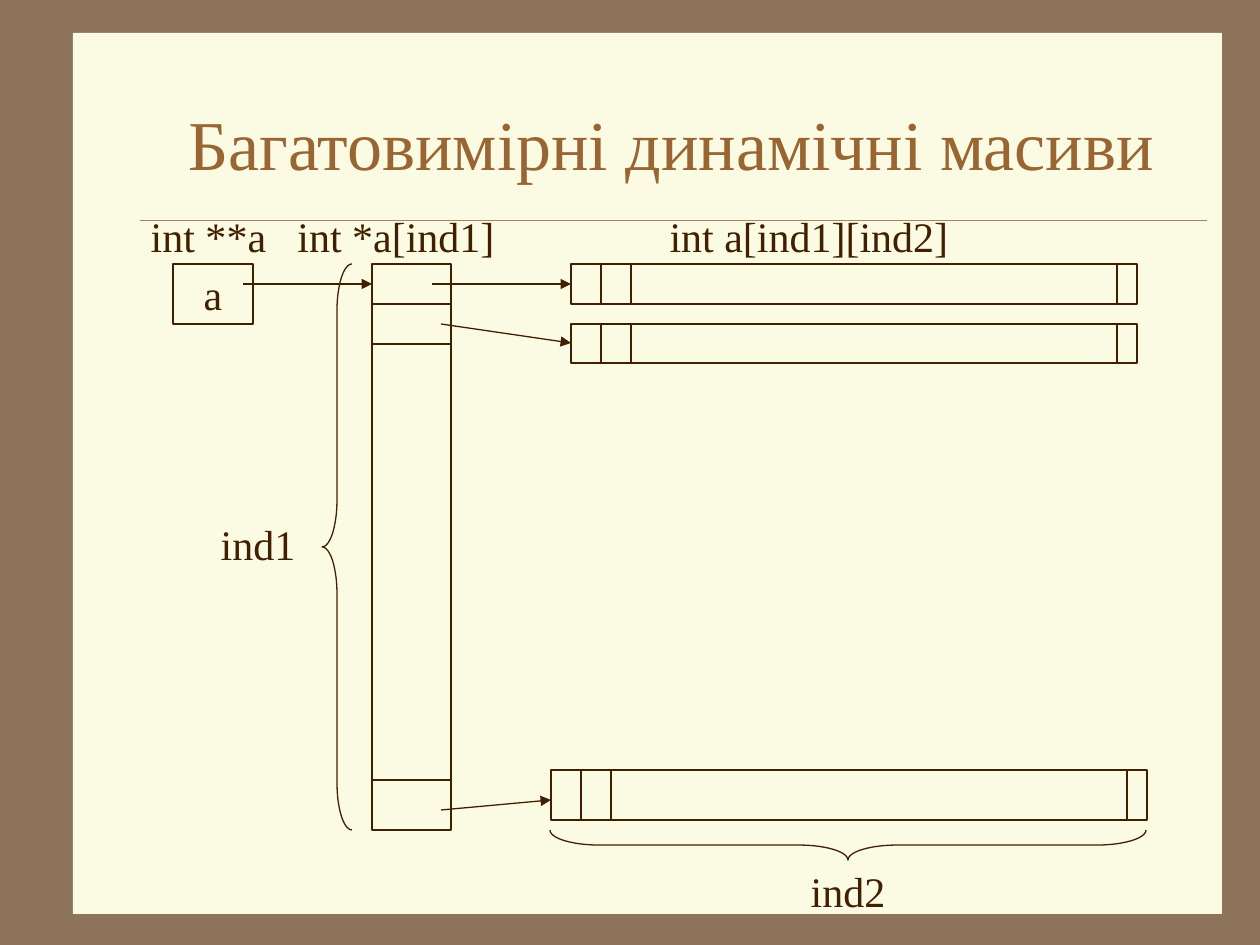
from lxml.etree import SubElement
from pptx import Presentation
from pptx.dml.color import RGBColor
from pptx.enum.shapes import MSO_CONNECTOR, MSO_SHAPE
from pptx.enum.text import MSO_ANCHOR, PP_ALIGN
from pptx.oxml.ns import qn
from pptx.util import Emu, Pt

THEME = {
    "frame": RGBColor.from_string("8C735A"),
    "panel": RGBColor.from_string("FBFAE2"),
    "rule": RGBColor.from_string("A08366"),
    "title": RGBColor.from_string("996633"),
    "ink": RGBColor.from_string("402000"),
    "font": "Times New Roman",
    "title_size": Pt(40),
    "label_size": Pt(24),
    "stroke": Pt(0.75),
    "hairline": Pt(0.25),
}
SCALE = 914400 / 126


def px(*lengths):
    return [Emu(round(length * SCALE)) for length in lengths]


def write(holder, wording, size, color, wrap=True, anchor=MSO_ANCHOR.TOP):
    frame = holder.text_frame
    frame.text = wording
    paragraph = frame.paragraphs[0]
    formats = (
        (frame, {"word_wrap": wrap, "vertical_anchor": anchor}),
        (paragraph, {"alignment": PP_ALIGN.CENTER}),
        (paragraph.runs[0].font, {"name": THEME["font"], "size": size}),
        (paragraph.runs[0].font.color, {"rgb": color}),
    )
    for target, values in formats:
        for attribute, value in values.items():
            setattr(target, attribute, value)


presentation = Presentation()
presentation.slide_width, presentation.slide_height = px(1260, 945)
slide = presentation.slides.add_slide(presentation.slide_layouts[5])
shapes = slide.shapes
slide.background.fill.solid()
slide.background.fill.fore_color.rgb = THEME["frame"]

panel = shapes.add_shape(MSO_SHAPE.RECTANGLE, *px(73, 33, 1149, 881))
panel.shadow.inherit = False
panel.fill.solid()
panel.fill.fore_color.rgb = THEME["panel"]
panel.line.fill.background()
shapes[0].element.addprevious(panel.element)

title = shapes.title
title.left, title.top, title.width, title.height = px(136, 63, 1071, 158)
write(title, "Багатовимірні динамічні масиви", THEME["title_size"], THEME["title"],
      anchor=MSO_ANCHOR.MIDDLE)

pointer = (173, 264, 80, 60)
pointer_column = (372, 264, 79, 566)
rows = [(571, 264, 566, 40), (571, 324, 566, 39), (551, 770, 596, 50)]

boxes = []
for box_place in [pointer, pointer_column, *rows]:
    box = shapes.add_shape(MSO_SHAPE.RECTANGLE, *px(*box_place))
    box.fill.background()
    boxes.append(box)
write(boxes[0], "a", THEME["label_size"], THEME["ink"], wrap=False, anchor=MSO_ANCHOR.MIDDLE)

braces = [
    ((322, 264, 30, 566), 0, 1.56),
    ((833, 547, 30, 596), 270, 1.64),
]
for brace_place, rotation, curve in braces:
    brace = shapes.add_shape(MSO_SHAPE.LEFT_BRACE, *px(*brace_place))
    brace.fill.background()
    brace.rotation = rotation
    brace.adjustments[0] = curve
    boxes.append(brace)

for outline in boxes:
    outline.shadow.inherit = False
    outline.line.color.rgb = THEME["ink"]
    outline.line.width = THEME["stroke"]

column_left, column_top, column_width, column_height = pointer_column
column_right = column_left + column_width
separators = [(column_left, y, column_right, y) for y in (304, 344, 780)]
for left, top, width, height in rows:
    for offset in (30, 60, width - 20):
        separators.append((left + offset, top, left + offset, top + height))

links = [
    (243, 284, 372, 284),
    (432, 284, 571, 284),
    (441, 324, 571, 343),
    (441, 810, 551, 800),
]
strokes = [((140, 220, 1207, 220), THEME["rule"], THEME["hairline"], False)]
strokes += [(ends, THEME["ink"], THEME["stroke"], False) for ends in separators]
strokes += [(ends, THEME["ink"], THEME["stroke"], True) for ends in links]
for ends, color, width, has_arrow in strokes:
    stroke = shapes.add_connector(MSO_CONNECTOR.STRAIGHT, *px(*ends))
    stroke.line.color.rgb = color
    stroke.line.width = width
    if has_arrow:
        SubElement(stroke.line._get_or_add_ln(), qn("a:tailEnd"), type="triangle")
    SubElement(stroke.element.spPr, qn("a:effectLst"))

labels = [
    ("int **a", (134, 204, 149, 63)),
    ("int *a[ind1]", (282, 204, 228, 63)),
    ("int a[ind1][ind2]", (581, 204, 456, 63)),
    ("ind1", (203, 512, 110, 63)),
    ("ind2", (789, 859, 118, 63)),
]
for wording, label_place in labels:
    label = shapes.add_textbox(*px(*label_place))
    write(label, wording, THEME["label_size"], THEME["ink"])

presentation.save("out.pptx")
